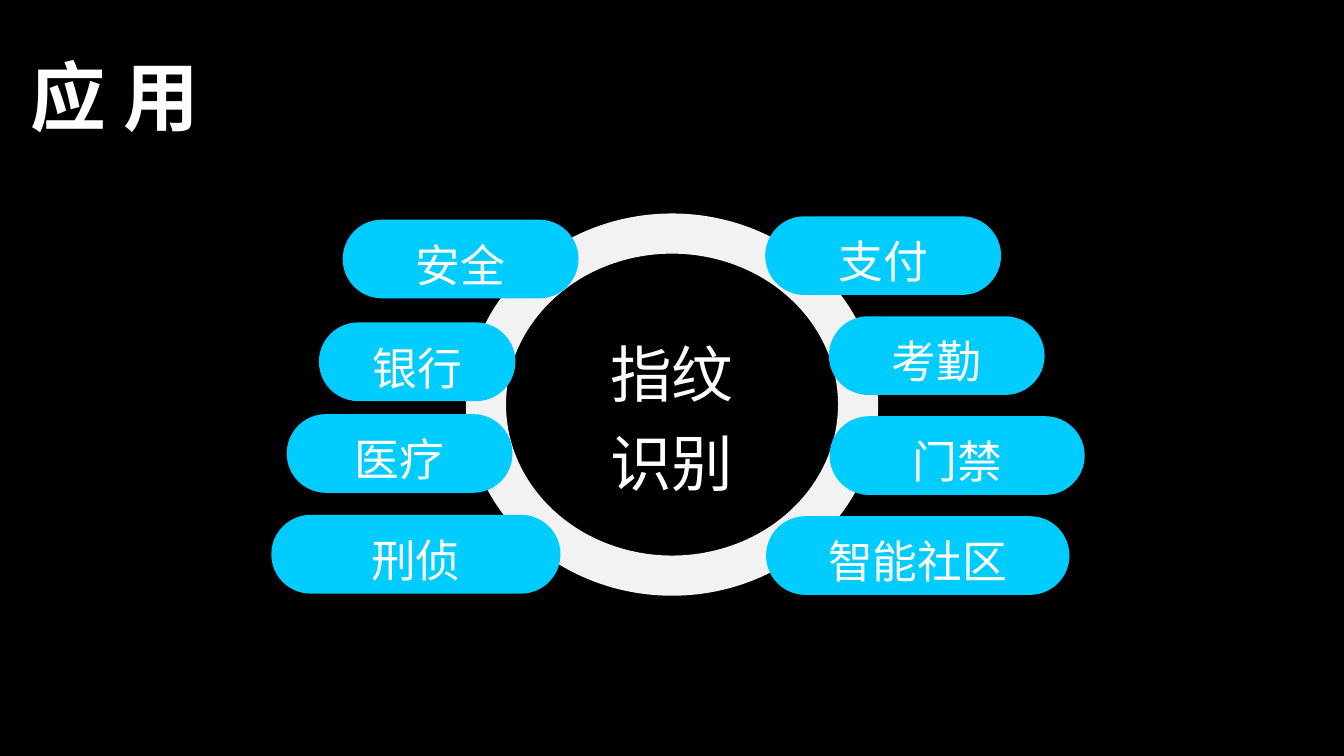
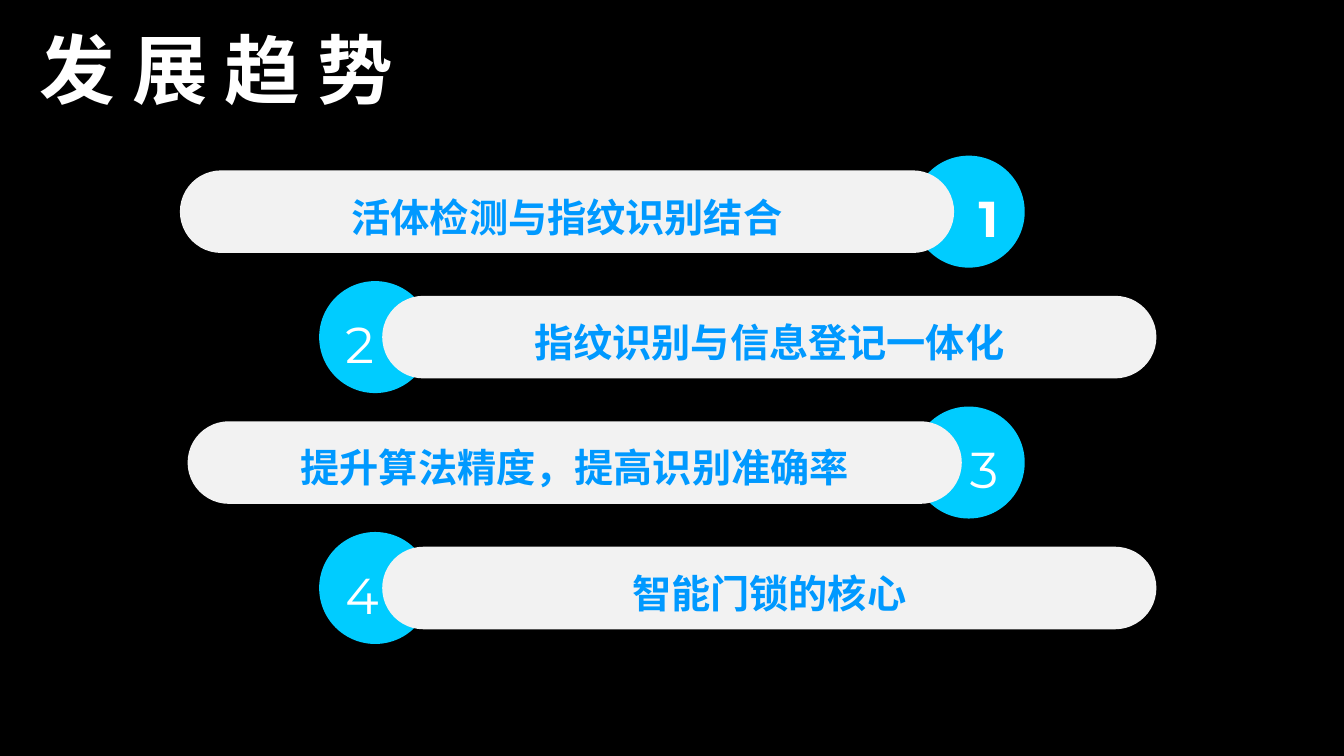
import pptx
import pptx.util
import pptx.dml.color
import pptx.enum.shapes
import pptx.enum.text

Pt = pptx.util.Pt
RGB = pptx.dml.color.RGBColor
Kind = pptx.enum.shapes.MSO_SHAPE
Align = pptx.enum.text.PP_ALIGN
Anchor = pptx.enum.text.MSO_ANCHOR

BLACK = RGB(0x00, 0x00, 0x00)
WHITE = RGB(0xFF, 0xFF, 0xFF)
PALE = RGB(0xF2, 0xF2, 0xF2)
CYAN = RGB(0x00, 0xCC, 0xFF)
BLUE = RGB(0x00, 0x99, 0xFF)
FACE = "Montserrat"


def write(shape, text, size, color=WHITE, face=FACE, bold=False,
          align=Align.CENTER, anchor=Anchor.MIDDLE, spacing=1.2):
    frame = shape.text_frame
    frame.word_wrap = True
    frame.vertical_anchor = anchor
    para = frame.paragraphs[0]
    para.text = text
    para.alignment = align
    para.line_spacing = spacing
    font = para.font
    font.name = face
    font.size = Pt(size)
    font.bold = bold
    font.color.rgb = color


def draw(slide, kind, left, top, width, height, fill):
    shape = slide.shapes.add_shape(kind, Pt(left), Pt(top), Pt(width), Pt(height))
    shape.shadow.inherit = False
    shape.fill.solid()
    shape.fill.fore_color.rgb = fill
    shape.line.fill.background()
    return shape


def pill(slide, left, top, width, height, fill):
    shape = draw(slide, Kind.ROUNDED_RECTANGLE, left, top, width, height, fill)
    shape.adjustments[0] = 0.5
    return shape


def label(slide, left, top, width, height):
    return slide.shapes.add_textbox(Pt(left), Pt(top), Pt(width), Pt(height))


def page(deck, title, box, face):
    slide = deck.slides.add_slide(deck.slide_layouts[6])
    slide.background.fill.solid()
    slide.background.fill.fore_color.rgb = BLACK
    write(label(slide, *box), title, 54, face=face, bold=True,
          align=Align.LEFT, spacing=1)
    return slide


def wheel(slide, left, top, pills):
    ring = draw(slide, Kind.DONUT, left + 139, top, 294.5, 273, PALE)
    ring.adjustments[0] = 0.105
    write(label(slide, left + 216, top + 73.5, 140.4, 131), "指纹识别", 44,
          anchor=Anchor.TOP)
    for text, across, down, width in pills:
        shape = pill(slide, left + across, top + down, width, 56.2, CYAN)
        write(shape, text, 32)


def trends(slide, left, top, rows):
    for index, (text, shift, face) in enumerate(rows):
        even = index % 2 == 1
        down = top + 89.6 * index
        disc = draw(slide, Kind.OVAL, left + (99.5 if even else 523.5), down,
                    80, 80, CYAN)
        write(disc, str(index + 1), 36, bold=index == 0,
              align=Align.LEFT if even else Align.RIGHT)
        bar = pill(slide, left + shift, down + 10.5, 553, 59, PALE)
        write(bar, text, 28, BLUE, face, True)


def main():
    deck = pptx.Presentation()
    deck.slide_width = Pt(960)
    deck.slide_height = Pt(540)

    uses = page(deck, "应 用", (15, 21.6, 877, 93.6), "Arial")
    lefts = [("安全", 51, 4.4, 168.5), ("银行", 34, 77.8, 140.4),
             ("医疗", 11, 143.3, 161.3), ("刑侦", 0, 215.3, 206.6)]
    rights = [("支付", 352.8, 168.5), ("考勤", 398.3, 154.1),
              ("门禁", 398.8, 182.2), ("智能社区", 353.4, 216.7)]
    rights = [(text, across, 2 + 71.4 * row, width)
              for row, (text, across, width) in enumerate(rights)]
    wheel(uses, 193.8, 152.5, lefts + rights)

    future = page(deck, "发 展 趋 势", (21, 20, 898, 57), FACE)
    trends(future, 128.5, 111.2, [
        ("活体检测与指纹识别结合", 0, "Roboto"),
        ("指纹识别与信息登记一体化", 144.5, "Roboto"),
        ("提升算法精度，提高识别准确率", 5.5, "Roboto"),
        ("智能门锁的核心", 144.5, FACE),
    ])
    deck.save("out.pptx")


if __name__ == "__main__":
    main()
